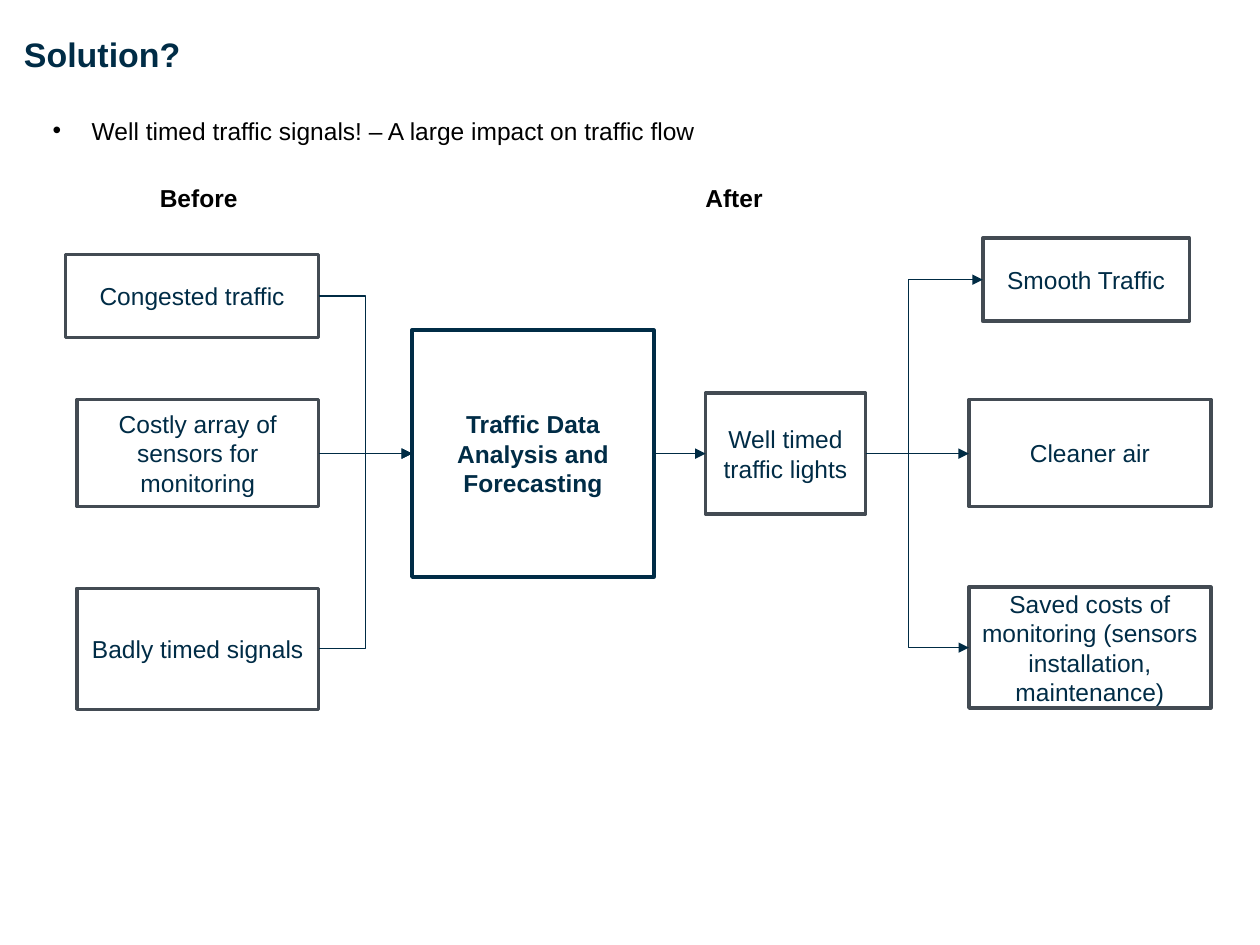
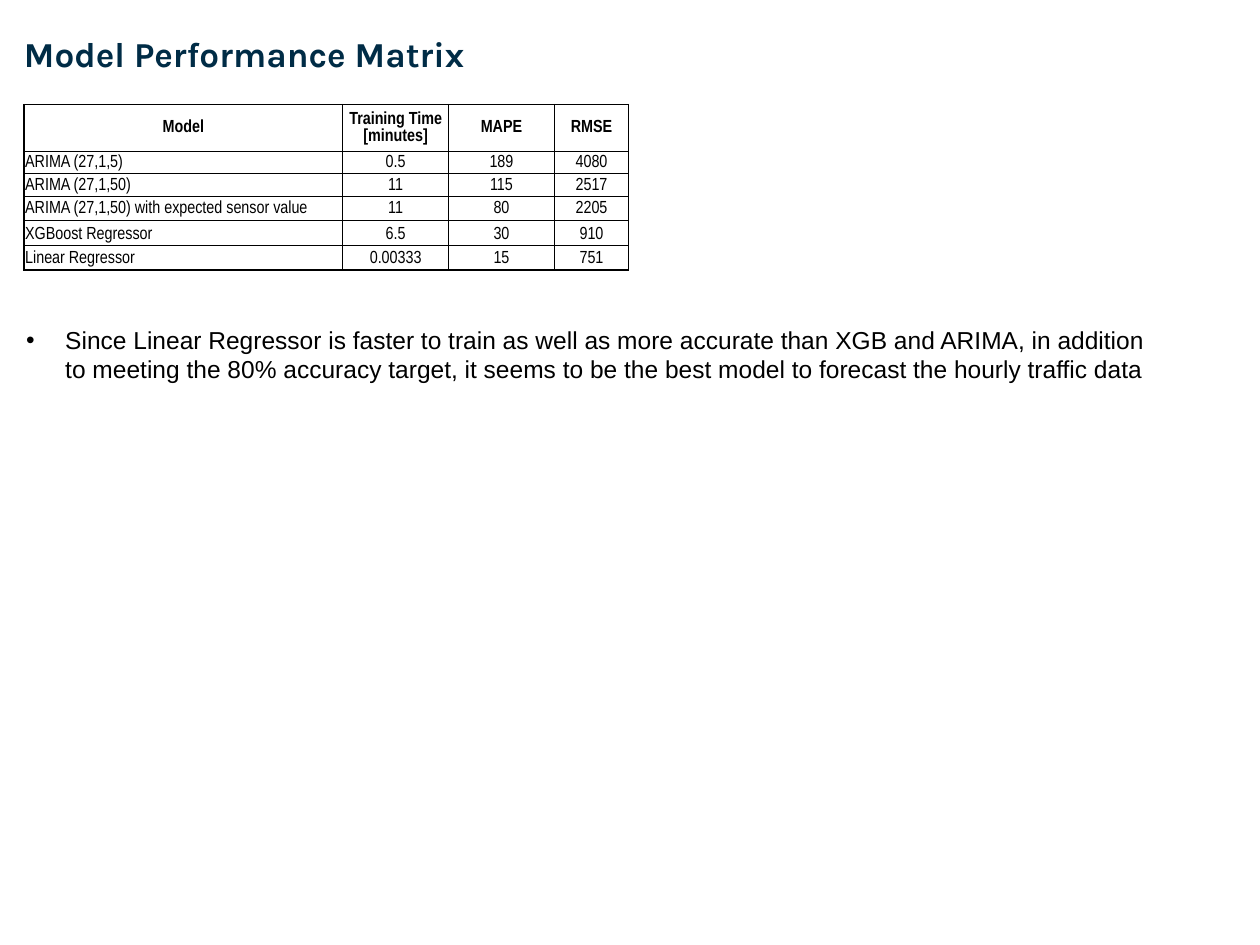
from dataclasses import dataclass

from lxml import etree
from pptx import Presentation
from pptx.dml.color import RGBColor
from pptx.enum.shapes import MSO_CONNECTOR, MSO_SHAPE
from pptx.enum.text import MSO_ANCHOR, PP_ALIGN
from pptx.oxml import parse_xml
from pptx.oxml.ns import nsdecls, qn
from pptx.util import Inches, Pt

# Shared look
NAVY = RGBColor(0x00, 0x2C, 0x46)
ARROW_NAVY = RGBColor(0x00, 0x2B, 0x44)
SLATE = RGBColor(0x43, 0x4B, 0x53)
BLACK = RGBColor(0x00, 0x00, 0x00)
WHITE = RGBColor(0xFF, 0xFF, 0xFF)
BODY_FONT = "Arial"
BODY_SIZE = 14


@dataclass(frozen=True)
class Style:
    font: str = BODY_FONT
    size: float = BODY_SIZE
    color: RGBColor = BLACK
    bold: bool = False
    align: PP_ALIGN = PP_ALIGN.LEFT


@dataclass(frozen=True)
class Area:
    left: float
    top: float
    width: float
    height: float

    @property
    def right(self) -> float:
        return self.left + self.width

    @property
    def middle(self) -> float:
        return self.top + self.height / 2

    def lengths(self) -> list:
        return [Inches(v) for v in (self.left, self.top, self.width, self.height)]


@dataclass(frozen=True)
class Step:
    text: str
    area: Area
    key: bool = False


@dataclass(frozen=True)
class Link:
    source: Step
    target: Step
    trunk: float | None = None  # x of the vertical part; None for a straight arrow


def write(para, text: str, style: Style) -> None:
    para.alignment = style.align
    span = para.add_run()
    span.text = text
    span.font.name = style.font
    span.font.size = Pt(style.size)
    span.font.bold = style.bold
    span.font.color.rgb = style.color


def add_text(page, text: str, area: Area, style: Style,
             bullet: bool = False, anchor=MSO_ANCHOR.TOP, inset: bool = True) -> None:
    box = page.shapes.add_textbox(*area.lengths())
    frame = box.text_frame
    frame.word_wrap = True
    frame.vertical_anchor = anchor
    if not inset:
        frame.margin_left = frame.margin_right = 0
        frame.margin_top = frame.margin_bottom = 0
    para = frame.paragraphs[0]
    if bullet:
        add_bullet(para)
    write(para, text, style)


def add_bullet(para) -> None:
    properties = para._p.get_or_add_pPr()
    properties.set("marL", str(Inches(0.31)))
    properties.set("indent", str(-Inches(0.31)))
    color = etree.SubElement(properties, qn("a:buClr"))
    etree.SubElement(color, qn("a:srgbClr"), val=str(BLACK))
    etree.SubElement(properties, qn("a:buFont"), typeface=BODY_FONT)
    etree.SubElement(properties, qn("a:buChar"), char="•")


def add_title(page, text: str, style: Style) -> None:
    add_text(page, text, Area(0.19, 0.26, 9.62, 0.33), style,
             anchor=MSO_ANCHOR.MIDDLE, inset=False)


def add_step(page, step: Step) -> None:
    box = page.shapes.add_shape(MSO_SHAPE.RECTANGLE, *step.area.lengths())
    box.shadow.inherit = False
    box.fill.solid()
    box.fill.fore_color.rgb = WHITE
    box.line.color.rgb = NAVY if step.key else SLATE
    box.line.width = Pt(2)
    frame = box.text_frame
    frame.word_wrap = True
    frame.vertical_anchor = MSO_ANCHOR.MIDDLE
    write(frame.paragraphs[0], step.text,
          Style(color=NAVY, bold=step.key, align=PP_ALIGN.CENTER))


def add_link(page, link: Link) -> None:
    start, end = link.source.area, link.target.area
    straight = link.trunk is None
    kind = MSO_CONNECTOR.STRAIGHT if straight else MSO_CONNECTOR.ELBOW
    start_y, end_y = (FLOW_Y, FLOW_Y) if straight else (start.middle, end.middle)
    arrow = page.shapes.add_connector(kind, Inches(start.right), Inches(start_y),
                                      Inches(end.left), Inches(end_y))
    arrow.line.color.rgb = ARROW_NAVY
    arrow.line.width = Pt(0.75)
    etree.SubElement(arrow.line._get_or_add_ln(), qn("a:tailEnd"), type="triangle")
    properties = arrow._element.spPr
    etree.SubElement(properties, qn("a:effectLst"))
    if not straight:
        share = (link.trunk - start.right) / (end.left - start.right)
        guides = properties.find(qn("a:prstGeom")).get_or_add_avLst()
        etree.SubElement(guides, qn("a:gd"), name="adj1", fmla=f"val {round(share * 100000)}")


def set_borders(cell, widths: dict[str, float]) -> None:
    properties = cell._tc.get_or_add_tcPr()
    for side, width in widths.items():
        properties.append(parse_xml(
            f'<a:ln{side} {nsdecls("a")} w="{Pt(width)}"><a:solidFill>'
            f'<a:srgbClr val="{BLACK}"/></a:solidFill></a:ln{side}>'))


# Slide 1: traffic flow before and after
CONGESTED = Step("Congested traffic", Area(0.52, 2.02, 2.01, 0.66))
COSTLY = Step("Costly array of sensors for monitoring", Area(0.61, 3.17, 1.92, 0.85))
BADLY_TIMED = Step("Badly timed signals", Area(0.61, 4.67, 1.92, 0.96))
ANALYSIS = Step("Traffic Data Analysis and Forecasting", Area(3.27, 2.62, 1.92, 1.96), key=True)
WELL_TIMED = Step("Well timed traffic lights", Area(5.6, 3.12, 1.27, 0.96))
SMOOTH = Step("Smooth Traffic", Area(7.8, 1.89, 1.64, 0.66))
CLEANER = Step("Cleaner air", Area(7.69, 3.17, 1.92, 0.85))
SAVED = Step("Saved costs of monitoring (sensors installation, maintenance)",
             Area(7.69, 4.66, 1.92, 0.96))
STEPS = [CONGESTED, COSTLY, BADLY_TIMED, ANALYSIS, WELL_TIMED, SMOOTH, CLEANER, SAVED]
FLOW_Y = ANALYSIS.area.middle  # height shared by all straight arrows
BEFORE_TRUNK, AFTER_TRUNK = 2.9, 7.21
LINKS = [
    Link(CONGESTED, ANALYSIS, BEFORE_TRUNK),
    Link(COSTLY, ANALYSIS),
    Link(BADLY_TIMED, ANALYSIS, BEFORE_TRUNK),
    Link(ANALYSIS, WELL_TIMED),
    Link(WELL_TIMED, SMOOTH, AFTER_TRUNK),
    Link(WELL_TIMED, CLEANER),
    Link(WELL_TIMED, SAVED, AFTER_TRUNK),
]


def build_solution(page) -> None:
    add_title(page, "Solution?", Style(size=19.4, color=NAVY, bold=True))
    add_text(page, "Well timed traffic signals! – A large impact on traffic flow",
             Area(0.32, 0.87, 6.96, 0.34), Style(), bullet=True)
    for step in STEPS:
        add_step(page, step)
    for link in LINKS:
        add_link(page, link)
    for label, left in (("Before", 1.17), ("After", 5.5)):
        add_text(page, label, Area(left, 1.4, 1.47, 0.34), Style(bold=True))


# Slide 2: model comparison
COLUMN_WIDTHS = [2.53, 0.84, 0.84, 0.59]
ROW_HEIGHTS = [0.37, 0.18, 0.18, 0.19, 0.18, 0.19]
RESULTS = [
    ("Model", "Training Time [minutes]", "MAPE", "RMSE"),
    ("ARIMA (27,1,5)", "0.5", "189", "4080"),
    ("ARIMA (27,1,50)", "11", "115", "2517"),
    ("ARIMA (27,1,50) with expected sensor value", "11", "80", "2205"),
    ("XGBoost Regressor", "6.5", "30", "910"),
    ("Linear Regressor", "0.00333", "15", "751"),
]
FIRST_BOTTOM_ROW = 4  # rows from here on are anchored to the cell floor
OUTER, INNER = 1, 0.5


def add_results(page) -> None:
    area = Area(0.19, 0.83, sum(COLUMN_WIDTHS), sum(ROW_HEIGHTS))
    last_row, last_column = len(RESULTS) - 1, len(COLUMN_WIDTHS) - 1
    table = page.shapes.add_table(last_row + 1, last_column + 1, *area.lengths()).table
    table.first_row = table.horz_banding = False
    for column, width in zip(table.columns, COLUMN_WIDTHS):
        column.width = Inches(width)
    for row, height in zip(table.rows, ROW_HEIGHTS):
        row.height = Inches(height)
    for r, values in enumerate(RESULTS):
        for c, value in enumerate(values):
            cell = table.cell(r, c)
            on_floor = r >= FIRST_BOTTOM_ROW
            cell.margin_left = cell.margin_right = cell.margin_top = Inches(0.01)
            cell.margin_bottom = Inches(0.02 if on_floor else 0)
            cell.vertical_anchor = MSO_ANCHOR.BOTTOM if on_floor else MSO_ANCHOR.MIDDLE
            align = PP_ALIGN.LEFT if r and not c else PP_ALIGN.CENTER
            write(cell.text_frame.paragraphs[0], value,
                  Style("Arial Narrow", 10, bold=r == 0, align=align))
            set_borders(cell, {
                "L": OUTER if c == 0 else INNER,
                "R": OUTER if c == last_column else INNER,
                "T": OUTER if r == 0 else INNER,
                "B": OUTER if r == last_row else INNER,
            })
            cell.fill.background()


def build_performance(page) -> None:
    add_title(page, "Model Performance Matrix", Style("Karla", 20, NAVY, bold=True))
    add_results(page)
    add_text(page, "Since Linear Regressor is faster to train as well as more accurate than "
             "XGB and ARIMA, in addition to meeting the 80% accuracy target, it seems to be "
             "the best model to forecast the hourly traffic data",
             Area(0.11, 2.53, 9.17, 0.57), Style(), bullet=True)


def main() -> None:
    deck = Presentation()
    deck.slide_width, deck.slide_height = Inches(10), Inches(7.5)
    for build in (build_solution, build_performance):
        build(deck.slides.add_slide(deck.slide_layouts[6]))
    deck.save("out.pptx")


if __name__ == "__main__":
    main()
